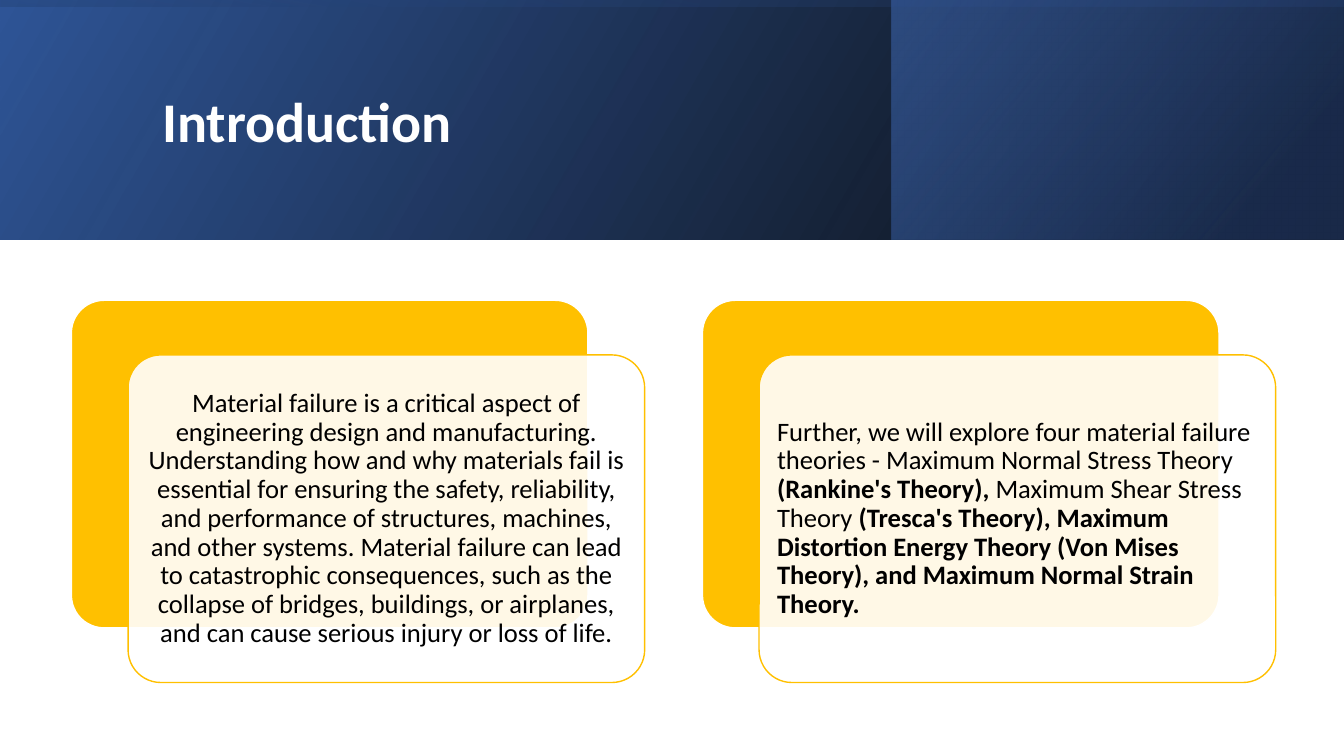
from lxml import etree
from pptx import Presentation
from pptx.dml.color import RGBColor
from pptx.enum.shapes import MSO_SHAPE
from pptx.enum.text import MSO_ANCHOR, PP_ALIGN
from pptx.oxml.ns import qn
from pptx.util import Emu, Pt

PX = 9525
SLIDE_W, SLIDE_H, BAND_H = 1280, 720, 228

FONT = "Calibri"
WHITE = RGBColor(0xFF, 0xFF, 0xFF)
BLACK = RGBColor(0, 0, 0)
GOLD = RGBColor(0xFF, 0xC0, 0x00)
NAVY = RGBColor(0x20, 0x38, 0x64)
DEEP_BLUE = RGBColor(0x2F, 0x55, 0x97)
BLUE = RGBColor(0x44, 0x72, 0xC4)

RECT, ROUNDED = MSO_SHAPE.RECTANGLE, MSO_SHAPE.ROUNDED_RECTANGLE
MIDDLE = MSO_ANCHOR.MIDDLE
LEFT, CENTER = PP_ALIGN.LEFT, PP_ALIGN.CENTER

CARD_X, CARD_Y, CARD_W, CARD_H, CARD_PITCH = 68, 286, 492, 312, 601
PANEL_DX, PANEL_DY = 54, 52

# Each card: alignment, then (text, bold) pieces
CARDS = [
    (CENTER, [
        ("Material failure is a critical aspect of engineering design and "
         "manufacturing. Understanding how and why materials fail is essential "
         "for ensuring the safety, reliability, and performance of structures, "
         "machines, and other systems. Material failure can lead to "
         "catastrophic consequences, such as the collapse of bridges, "
         "buildings, or airplanes, and can cause serious injury or loss of "
         "life.", False),
    ]),
    (LEFT, [
        ("Further, we will explore four material failure theories - Maximum "
         "Normal Stress Theory ", False),
        ("(Rankine's Theory),", True),
        (" Maximum Shear Stress Theory ", False),
        ("(Tresca's Theory), Maximum Distortion Energy Theory (Von Mises "
         "Theory), and Maximum Normal Strain Theory.", True),
    ]),
]


def px(*lengths):
    return [Emu(length * PX) for length in lengths]


def add_plain_shape(slide, kind, box):
    shape = slide.shapes.add_shape(kind, *px(*box))
    shape.shadow.inherit = False
    return shape


def set_opacity(color_element, percent):
    etree.SubElement(color_element, qn("a:alpha"), val=str(percent * 1000))


def add_gradient_band(slide, box, stops, angle, rotation=0):
    """Add a mirrored rectangle; stops are (position %, colour, opacity %)."""
    band = add_plain_shape(slide, RECT, box)
    band.rotation = rotation
    band.line.fill.background()
    properties = band.element.spPr
    properties.find(qn("a:xfrm")).set("flipH", "1")
    band.fill.background()
    gradient = etree.Element(qn("a:gradFill"), rotWithShape="1")
    stop_list = etree.SubElement(gradient, qn("a:gsLst"))
    for position, color, opacity in stops:
        stop = etree.SubElement(stop_list, qn("a:gs"), pos=str(position * 1000))
        set_opacity(etree.SubElement(stop, qn("a:srgbClr"), val=str(color)), opacity)
    etree.SubElement(gradient, qn("a:lin"), ang=str(angle * 60000), scaled="0")
    properties.replace(properties.find(qn("a:noFill")), gradient)


def format_run(run, size, color, bold):
    run.font.name = FONT
    run.font.size = Pt(size)
    run.font.color.rgb = color
    run.font.bold = bold


def add_title(slide, text):
    title = slide.shapes.title
    title.left, title.top, title.width, title.height = px(145, 36, 1020, 165)
    frame = title.text_frame
    frame.text = text
    frame.vertical_anchor = MIDDLE
    paragraph = frame.paragraphs[0]
    paragraph.alignment = LEFT
    paragraph.line_spacing = 0.9
    format_run(paragraph.runs[0], 40, WHITE, True)
    # Bring the title in front of the bands
    title.element.getparent().append(title.element)


def add_rounded_panel(slide, left, top, fill, line):
    panel = add_plain_shape(slide, ROUNDED, (left, top, CARD_W, CARD_H))
    panel.adjustments[0] = 0.1
    panel.fill.solid()
    panel.fill.fore_color.rgb = fill
    panel.line.color.rgb = line
    panel.line.width = Pt(1)
    return panel


def add_card(slide, left, alignment, pieces):
    add_rounded_panel(slide, left, CARD_Y, GOLD, WHITE)
    panel = add_rounded_panel(slide, left + PANEL_DX, CARD_Y + PANEL_DY, WHITE, GOLD)
    fill = panel.element.spPr.find(qn("a:solidFill"))
    set_opacity(fill.find(qn("a:srgbClr")), 90)

    frame = panel.text_frame
    frame.word_wrap = True
    frame.vertical_anchor = MIDDLE
    (frame.margin_left, frame.margin_top,
     frame.margin_right, frame.margin_bottom) = px(8, 8, 8, 8)
    paragraph = frame.paragraphs[0]
    paragraph.alignment = alignment
    paragraph.line_spacing = 0.9
    for text, bold in pieces:
        run = paragraph.add_run()
        run.text = text
        format_run(run, 19, BLACK, bold)


def main():
    presentation = Presentation()
    presentation.slide_width, presentation.slide_height = px(SLIDE_W, SLIDE_H)
    slide = presentation.slides.add_slide(presentation.slide_layouts[5])

    add_gradient_band(slide, (0, 0, SLIDE_W, BAND_H),
                      [(0, BLACK, 96), (100, DEEP_BLUE, 100)], 330)
    add_gradient_band(slide, (849, 0, 430, BAND_H),
                      [(19, NAVY, 68), (100, BLUE, 48)], 320)
    offset = (SLIDE_W - BAND_H) // 2
    add_gradient_band(slide, (offset, -offset, BAND_H, SLIDE_W),
                      [(23, DEEP_BLUE, 16), (99, BLACK, 45)], 350, rotation=270)
    add_title(slide, "Introduction")
    for index, (alignment, pieces) in enumerate(CARDS):
        add_card(slide, CARD_X + index * CARD_PITCH, alignment, pieces)

    presentation.save("out.pptx")


if __name__ == "__main__":
    main()
